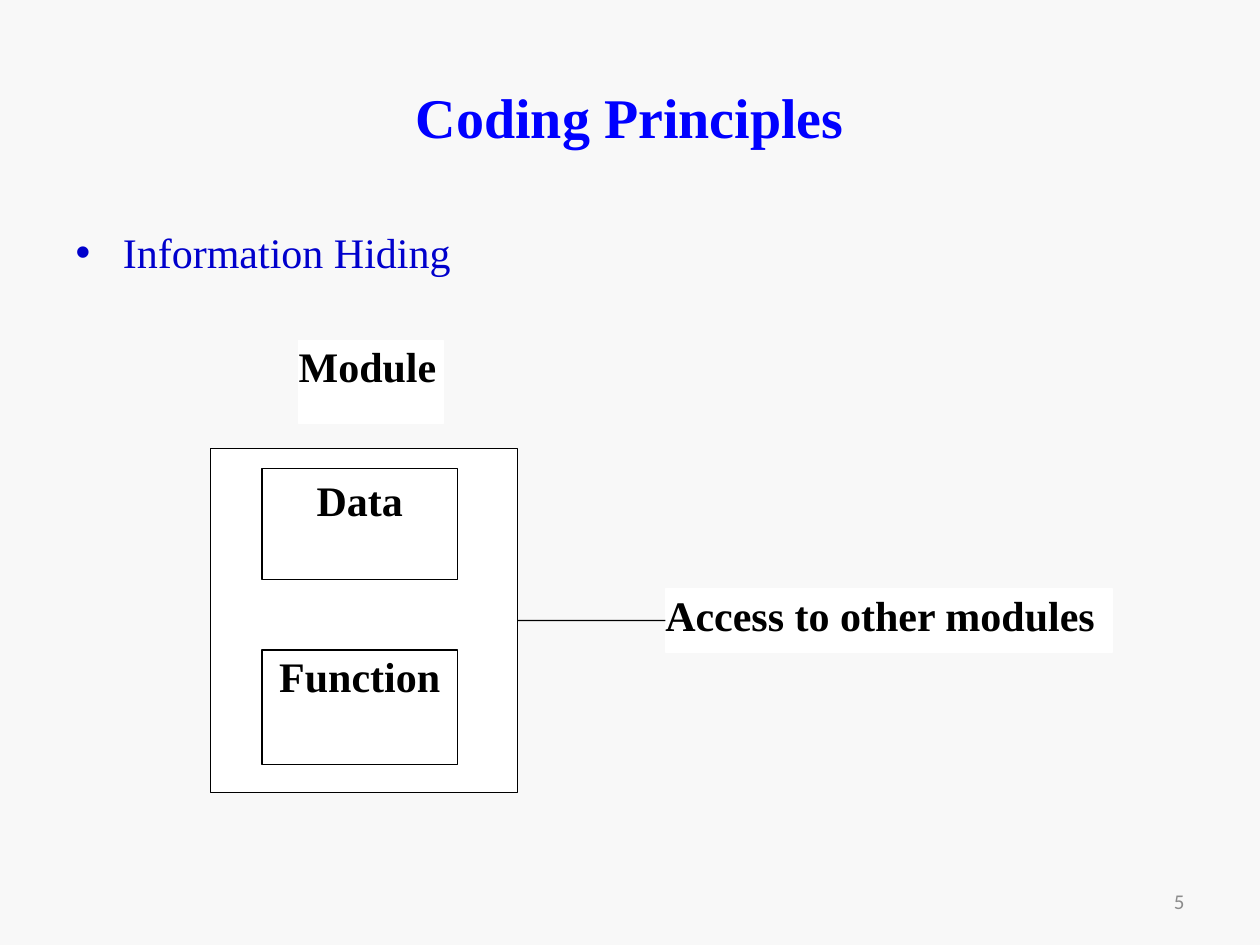
"""Build the Coding Principles slide about information hiding."""
from lxml.etree import SubElement
from pptx import Presentation
from pptx.dml.color import RGBColor
from pptx.enum.shapes import MSO_CONNECTOR, MSO_SHAPE
from pptx.enum.text import MSO_ANCHOR, MSO_AUTO_SIZE, PP_ALIGN
from pptx.oxml.ns import qn
from pptx.util import Inches, Pt

COLORS = {
    name: RGBColor.from_string(value)
    for name, value in {
        "background": "F8F8F8",
        "title": "0000FF",
        "bullet": "0000CC",
        "number": "8C8C8C",
        "black": "000000",
        "white": "FFFFFF",
    }.items()
}
SERIF = "Times New Roman"

deck = Presentation()
deck.slide_width, deck.slide_height = Inches(10), Inches(7.5)
column, row = deck.slide_width / 100, deck.slide_height / 100
page = deck.slides.add_slide(deck.slide_layouts[1])
page.background.fill.solid()
page.background.fill.fore_color.rgb = COLORS["background"]


def grid(left, top, width, height):
    return int(left * column), int(top * row), int(width * column), int(height * row)


def write(box, text, size, color, align, bold=False, font=SERIF):
    frame = box.text_frame
    frame.text = text
    frame.word_wrap = True
    frame.auto_size = MSO_AUTO_SIZE.NONE
    para = frame.paragraphs[0]
    para.alignment = align
    span = para.runs[0].font
    span.name, span.size, span.bold = font, Pt(size), bold
    span.color.rgb = COLORS[color]


title, body = page.shapes.title, page.placeholders[1]
title.left, title.top, title.width, title.height = grid(5, 4, 90, 16.67)
write(title, "Coding Principles", 32, "title", PP_ALIGN.CENTER, bold=True)
body.left, body.top, body.width, body.height = grid(5, 23.33, 90, 8.93)
write(body, "Information Hiding", 24, "bullet", PP_ALIGN.LEFT)

number = page.shapes.add_textbox(*grid(71.7, 92.67, 23.3, 5.33))
write(number, "5", 12, "number", PP_ALIGN.RIGHT, font="Calibri")
number.text_frame.vertical_anchor = MSO_ANCHOR.MIDDLE

boxes = {}
for name, cell, outline, align, inset in [
    ("", (16.7, 47.47, 24.4, 36.4), "black", PP_ALIGN.CENTER, 0),
    ("Data", (20.8, 49.6, 15.5, 11.73), "black", PP_ALIGN.CENTER, 0.05),
    ("Function", (20.8, 68.8, 15.5, 12.13), "black", PP_ALIGN.CENTER, 0),
    ("Access to other modules", (52.8, 62.33, 35.5, 6.67), "white", PP_ALIGN.LEFT, 0),
    ("Module", (23.7, 36, 11.5, 8.8), "white", PP_ALIGN.LEFT, 0),
]:
    box = page.shapes.add_shape(MSO_SHAPE.RECTANGLE, *grid(*cell))
    box.shadow.inherit = False
    box.fill.solid()
    box.fill.fore_color.rgb = COLORS["white"]
    box.line.color.rgb = COLORS[outline]
    box.line.width = Pt(0.75)
    if name:
        write(box, name, 24, "black", align, bold=True)
        frame = box.text_frame
        frame.vertical_anchor = MSO_ANCHOR.TOP
        frame.margin_left = frame.margin_right = 0
        frame.margin_top = frame.margin_bottom = Inches(inset)
    boxes[name] = box

access = page.shapes.add_connector(MSO_CONNECTOR.STRAIGHT, 0, 0, 0, 0)
access.begin_connect(boxes[""], 3)
access.end_connect(boxes["Access to other modules"], 1)
access.line.color.rgb = COLORS["black"]
access.line.width = Pt(0.75)
SubElement(access.element.spPr, qn("a:effectLst"))

deck.save("out.pptx")
